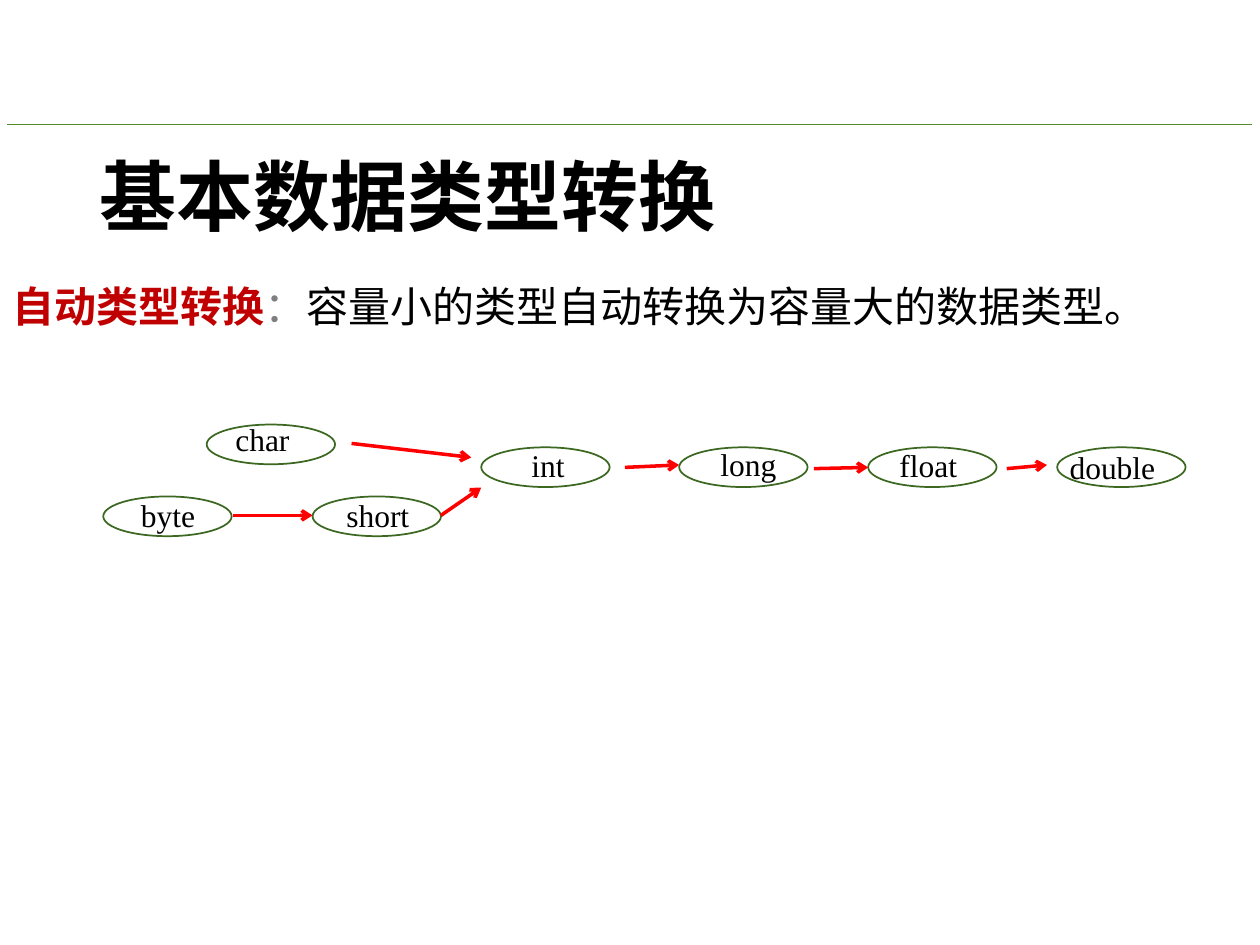
from dataclasses import dataclass

from lxml.etree import SubElement as Sub
from pptx import Presentation
from pptx.dml.color import RGBColor as Rgb
from pptx.enum.shapes import MSO_CONNECTOR as Conn, MSO_SHAPE as Shape
from pptx.enum.text import MSO_ANCHOR as Anchor, MSO_AUTO_SIZE as Fit, PP_ALIGN as Align
from pptx.oxml.ns import qn
from pptx.util import Pt


@dataclass(frozen=True)
class Theme:
    black: str = "000000"
    red: str = "C00000"
    gray: str = "7F7F7F"
    rule: str = "538C2E"
    edge: str = "3D6822"
    arrow: str = "FF0000"
    serif: str = "Times New Roman"
    sans: str = "Arial"
    head: int = 44
    body: int = 24
    label: int = 18


THEME = Theme()
OVAL = (73.4, 22.7)

# Ellipses: word, left, top, then the label's offset from that corner
NODES = [
    ("char", 118.1, 242.6, 9.3, -6.4),
    ("byte", 59, 283.7, 14.4, -3.6),
    ("short", 178.6, 283.7, 12.2, -3.6),
    ("int", 275, 255.6, 21.6, -4.3),
    ("long", 388.1, 255.6, 16.5, -5),
    ("float", 496.1, 255.6, 10.8, -4.3),
    ("double", 604.1, 255.6, 0, -2.9),
]

# Widening steps: start x, y, end x, y
STEPS = [
    (133.2, 294.5, 178.6, 294.5),
    (200.9, 253.4, 269.3, 261.4),
    (252, 294.5, 275, 278.6),
    (357.1, 267.1, 388.1, 265.7),
    (465.1, 267.8, 496.1, 267.1),
    (575.3, 267.8, 598.3, 265.7),
]


def style(item, form):
    for key, value in form.items():
        setattr(item, key, value)


def put(shape, *box):
    style(shape, dict(zip(("left", "top", "width", "height"), map(Pt, box))))


def add_run(para, text, size, face, color, bold=False):
    run = para.add_run()
    run.text = text
    style(run.font, {"size": Pt(size), "name": face, "bold": bold})
    run.font.color.rgb = Rgb.from_string(color)


def add_line(slide, ends, color, width, tip=False):
    line = slide.shapes.add_connector(Conn.STRAIGHT, *map(Pt, ends))
    line.line.color.rgb = Rgb.from_string(color)
    line.line.width = Pt(width)
    if tip:
        Sub(line.line._get_or_add_ln(), qn("a:tailEnd"), type="arrow")
    Sub(line._element.spPr, qn("a:effectLst"))


def add_oval(slide, left, top):
    oval = slide.shapes.add_shape(Shape.OVAL, *map(Pt, (left, top, *OVAL)))
    oval.shadow.inherit = False
    oval.fill.background()
    oval.line.color.rgb = Rgb.from_string(THEME.edge)
    oval.line.width = Pt(1)


def add_label(slide, word, left, top):
    width = 90 if word == "double" else 65
    box = slide.shapes.add_textbox(*map(Pt, (left, top, width, 29)))
    style(box.text_frame, {"word_wrap": True, "auto_size": Fit.SHAPE_TO_FIT_TEXT})
    add_run(box.text_frame.paragraphs[0], word, THEME.label, THEME.serif, THEME.black)


def fill_title(shape):
    put(shape, 49.7, 62.6, 620.6, 104.4)
    frame = shape.text_frame
    style(frame, {"vertical_anchor": Anchor.MIDDLE, "auto_size": Fit.NONE})
    para = frame.paragraphs[0]
    style(para, {"alignment": Align.LEFT, "line_spacing": 0.9})
    add_run(para, "基本数据类型转换", THEME.head, THEME.serif, THEME.black, True)


def fill_body(shape):
    put(shape, 0, 159.8, 694.8, 368.6)
    shape.text_frame.auto_size = Fit.NONE
    para = shape.text_frame.paragraphs[0]
    style(para, {"line_spacing": 0.9, "space_before": Pt(10)})
    # Plain paragraph: no bullet, no hanging indent
    props = para._p.get_or_add_pPr()
    props.set("marL", "0")
    props.set("indent", "0")
    Sub(props, qn("a:buNone"))
    for text, color, bold in (
        ("自动类型转换", THEME.red, True),
        ("：", THEME.gray, False),
        ("容量小的类型自动转换为容量大的数据类型。", THEME.black, False),
    ):
        add_run(para, text, THEME.body, THEME.sans, color, bold)


def main():
    deck = Presentation()
    style(deck, {"slide_width": Pt(720), "slide_height": Pt(540)})
    slide = deck.slides.add_slide(deck.slide_layouts[1])

    # Heading and statement
    add_line(slide, (4.3, 71.3, 715.7, 71.3), THEME.rule, 0.5)
    fill_title(slide.shapes.title)
    fill_body(slide.placeholders[1])

    # Conversion chain
    for _, left, top, _, _ in NODES:
        add_oval(slide, left, top)
    for word, left, top, dx, dy in NODES:
        add_label(slide, word, left + dx, top + dy)
    for ends in STEPS:
        add_line(slide, ends, THEME.arrow, 2, tip=True)

    deck.save("out.pptx")


if __name__ == "__main__":
    main()
